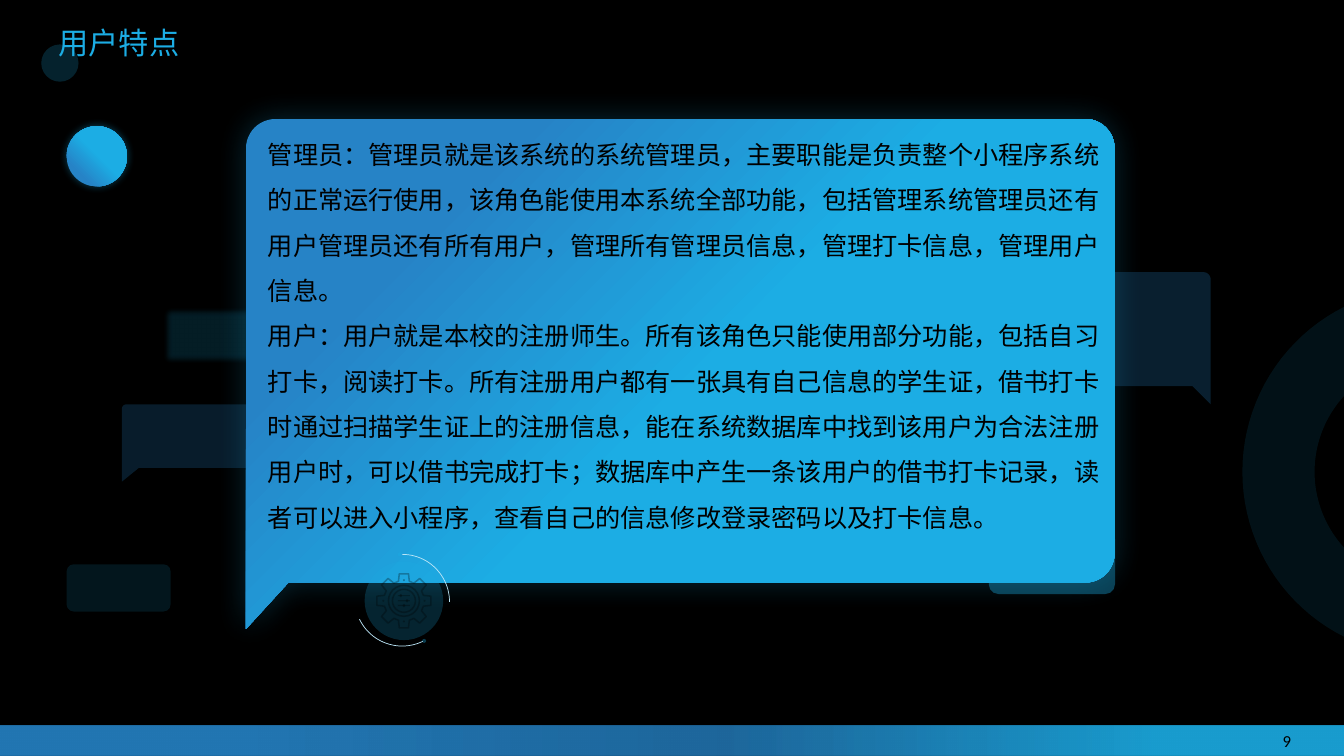
from math import acos, cos, pi, sin

from lxml import etree
from pptx import Presentation
from pptx.dml.color import RGBColor
from pptx.enum import shapes as kinds, text as layout
from pptx.oxml import ns
from pptx.util import Cm, Pt

COLORS = {"cyan": "1CADE4", "blue": "2683C6", "pale": "BBE6F7", "black": "000000"}
GLOSS = [(21, "blue", 100), (52, "cyan", 100), (86, "cyan", 100)]
SHAPE = kinds.MSO_SHAPE

presentation = Presentation()
presentation.slide_width, presentation.slide_height = Cm(33.87), Cm(19.05)
slide = presentation.slides.add_slide(presentation.slide_layouts[6])
slide.background.fill.solid()
slide.background.fill.fore_color.rgb = RGBColor.from_string(COLORS["black"])


def paint(shape, stops, angle=0, effect=None):
    """Fill with (position, color, opacity) stops; effect is (tag, radius, opacity)."""
    shape.shadow.inherit = False
    shape.line.fill.background()
    properties = shape._element.spPr
    if len(stops) == 1:
        shape.fill.solid()
        shape.fill.fore_color.rgb = RGBColor.from_string(COLORS[stops[0][1]])
        color = properties.find(ns.qn("a:solidFill"))[0]
        etree.SubElement(color, ns.qn("a:alpha"), val=str(stops[0][2] * 1000))
    else:
        shape.fill.gradient()
        shape.fill.gradient_angle = (360 - angle) % 360
        stop_list = properties.find(ns.qn("a:gradFill")).find(ns.qn("a:gsLst"))
        for old_stop in list(stop_list):
            stop_list.remove(old_stop)
        for position, name, opacity in stops:
            stop = etree.SubElement(stop_list, ns.qn("a:gs"), pos=str(position * 1000))
            color = etree.SubElement(stop, ns.qn("a:srgbClr"), val=COLORS[name])
            etree.SubElement(color, ns.qn("a:alpha"), val=str(opacity * 1000))
    if effect:
        tag, radius, opacity = effect
        effects = properties.find(ns.qn("a:effectLst"))
        if tag == "softEdge":
            etree.SubElement(effects, ns.qn("a:softEdge"), rad=str(Pt(radius)))
        else:
            glow = etree.SubElement(effects, ns.qn("a:outerShdw"), blurRad=str(Pt(radius)),
                                    dist="0", dir="0", algn="ctr", rotWithShape="0")
            color = etree.SubElement(glow, ns.qn("a:srgbClr"), val=COLORS["cyan"])
            etree.SubElement(color, ns.qn("a:alpha"), val=str(opacity * 1000))


def add_outline(points):
    points = [(Cm(x), Cm(y)) for x, y in points]
    builder = slide.shapes.build_freeform(*points[0])
    builder.add_line_segments(points[1:], close=True)
    return builder.convert_to_shape()


# Header dot and footer bar
header_dot = slide.shapes.add_shape(SHAPE.OVAL, Cm(1.04), Cm(1.12), Cm(0.94), Cm(0.94))
paint(header_dot, [(0, "cyan", 20)])
footer = slide.shapes.add_shape(SHAPE.RECTANGLE, 0, Cm(18.29), Cm(33.87), Cm(0.76))
paint(footer, [(14, "cyan", 90), (46, "blue", 78), (82, "blue", 90)], 180)

# Speech bubbles: left, top, right, bottom, tip, tail width, radius, tail on the right
bubbles = [
    (24.41, 6.86, 30.51, 9.73, 10.19, 0.46, 0.18, True, [(0, "blue", 24)], None),
    (3.07, 10.19, 9.19, 11.79, 12.14, 0.43, 0.12, False, [(0, "blue", 22)], None),
    (4.09, 7.72, 9.19, 9.19, 9.45, 0.28, 0.1, False, [(0, "cyan", 17)], ("softEdge", 4, 0)),
    (6.2, 3, 28.09, 14.68, 15.85, 1.07, 0.74, False, GLOSS, ("outerShdw", 22, 23)),
]
for left, top, right, bottom, tip, tail, radius, mirrored, stops, effect in bubbles:
    points = [(left, tip)]
    corners = [(left + radius, top + radius, pi),
               (right - radius, top + radius, 1.5 * pi),
               (right - radius, bottom - radius, 0)]
    for center_x, center_y, start in corners:
        for step in range(13):
            turn = start + step * pi / 24
            points.append((center_x + radius * cos(turn), center_y + radius * sin(turn)))
    points.append((left + tail, bottom))
    if mirrored:
        points = [(left + right - x, y) for x, y in points]
    paint(add_outline(points), stops, 45, effect)

# Texts: left, top, width, height, size, font, color, alignment, anchor, spacing, paragraphs
ALIGN, ANCHOR = layout.PP_ALIGN, layout.MSO_ANCHOR
texts = [
    (1.22, 0.61, 4.98, 1.04, 21.6, "Arial", "cyan", ALIGN.JUSTIFY, ANCHOR.MIDDLE, 0.9,
     ["用户特点"]),
    (6.5, 3, 22.07, 10.64, 18, "Calibri", "black", ALIGN.LEFT, ANCHOR.TOP, 1.5, [
        "管理员：管理员就是该系统的系统管理员，主要职能是负责整个小程序系统的正常运行使用，"
        "该角色能使用本系统全部功能，包括管理系统管理员还有用户管理员还有所有用户，"
        "管理所有管理员信息，管理打卡信息，管理用户信息。",
        "用户：用户就是本校的注册师生。所有该角色只能使用部分功能，包括自习打卡，阅读打卡。"
        "所有注册用户都有一张具有自己信息的学生证，借书打卡时通过扫描学生证上的注册信息，"
        "能在系统数据库中找到该用户为合法注册用户时，可以借书完成打卡；"
        "数据库中产生一条该用户的借书打卡记录，读者可以进入小程序，"
        "查看自己的信息修改登录密码以及打卡信息。"]),
    (25.17, 18.16, 7.62, 1.02, 12, "Calibri", "black", ALIGN.RIGHT, ANCHOR.MIDDLE, 1, ["9"]),
]
for left, top, width, height, size, font, color, align, anchor, spacing, lines in texts:
    frame = slide.shapes.add_textbox(Cm(left), Cm(top), Cm(width), Cm(height)).text_frame
    frame.word_wrap = True
    frame.vertical_anchor = anchor
    for index, line in enumerate(lines):
        paragraph = frame.add_paragraph() if index else frame.paragraphs[0]
        paragraph.alignment = align
        paragraph.line_spacing = spacing
        run = paragraph.add_run()
        run.text = line
        run.font.size, run.font.name = Pt(size), font
        run.font.color.rgb = RGBColor.from_string(COLORS[color])

# Translucent plates and discs
plates = [
    (SHAPE.ROUNDED_RECTANGLE, 1.68, 14.22, 2.62, 1.19, 13),
    (SHAPE.ROUNDED_RECTANGLE, 24.92, 13.34, 3.18, 1.63, 37),
    (SHAPE.OVAL, 9.19, 14.15, 1.98, 1.98, 21),
    (SHAPE.OVAL, 10.03, 13.92, 0.1, 0.1, 34),
    (SHAPE.OVAL, 10.64, 16.1, 0.1, 0.1, 34),
]
for kind, left, top, width, height, opacity in plates:
    plate = slide.shapes.add_shape(kind, Cm(left), Cm(top), Cm(width), Cm(height))
    if kind == SHAPE.ROUNDED_RECTANGLE:
        plate.adjustments[0] = 0.15
    paint(plate, [(0, "cyan", opacity)])

# Gear: toothed rim and two rings, drawn as lines
gear_x, gear_y = 10.18, 15.14
rim = []
for tooth in range(8):
    for offset, radius in [(-0.27, 0.51), (-0.17, 0.69), (0.17, 0.69), (0.27, 0.51)]:
        turn = tooth * pi / 4 + offset
        rim.append((gear_x + radius * cos(turn), gear_y + radius * sin(turn)))
gear_lines = [add_outline(rim)]
for radius in (0.39, 0.29):
    gear_lines.append(slide.shapes.add_shape(
        SHAPE.OVAL, Cm(gear_x - radius), Cm(gear_y - radius), Cm(2 * radius), Cm(2 * radius)))
for shape in gear_lines:
    shape.shadow.inherit = False
    shape.fill.background()
    shape.line.width = Pt(1.1)
    shape.line.color.rgb = RGBColor.from_string(COLORS["black"])
    line_color = shape._element.spPr.find(ns.qn("a:ln")).find(ns.qn("a:solidFill"))[0]
    etree.SubElement(line_color, ns.qn("a:alpha"), val="28000")

# Gear details: three sliders with knobs, and four rivets
details = []
for offset, knob in [(-0.13, -0.08), (0, 0.08), (0.12, 0)]:
    details.append((SHAPE.RECTANGLE, 0, offset, 0.3, 0.03))
    details.append((SHAPE.OVAL, knob, offset, 0.06, 0.08))
for quarter in range(4):
    turn = quarter * pi / 2
    details.append((SHAPE.OVAL, 0.52 * cos(turn), 0.52 * sin(turn), 0.05, 0.05))
for kind, x, y, width, height in details:
    detail = slide.shapes.add_shape(kind, Cm(gear_x + x - width / 2), Cm(gear_y + y - height / 2),
                                    Cm(width), Cm(height))
    paint(detail, [(0, "black", 28)])

# Orbit arcs around the gear
for top, rotation in [(13.97, 0), (13.89, 154.3)]:
    arc = slide.shapes.add_shape(SHAPE.ARC, Cm(8.94), Cm(top), Cm(2.39), Cm(2.39))
    arc.rotation = rotation
    arc.shadow.inherit = False
    arc.fill.background()
    arc.line.width = Pt(0.5)
    arc.line.color.rgb = RGBColor.from_string(COLORS["pale"])

# Ring cut off by the right edge
ring_x, ring_y, edge = 35.96, 11.89, 33.87
ring = []
for radius, direction in [(4.65, 1), (2.83, -1)]:
    reach = acos((ring_x - edge) / radius)
    for step in range(41):
        turn = pi + direction * reach * (step / 20 - 1)
        ring.append((ring_x + radius * cos(turn), ring_y + radius * sin(turn)))
paint(add_outline(ring), [(0, "cyan", 10)])

ball = slide.shapes.add_shape(SHAPE.OVAL, Cm(1.68), Cm(3.18), Cm(1.52), Cm(1.52))
paint(ball, GLOSS, 315, ("outerShdw", 6, 40))

presentation.save("out.pptx")
